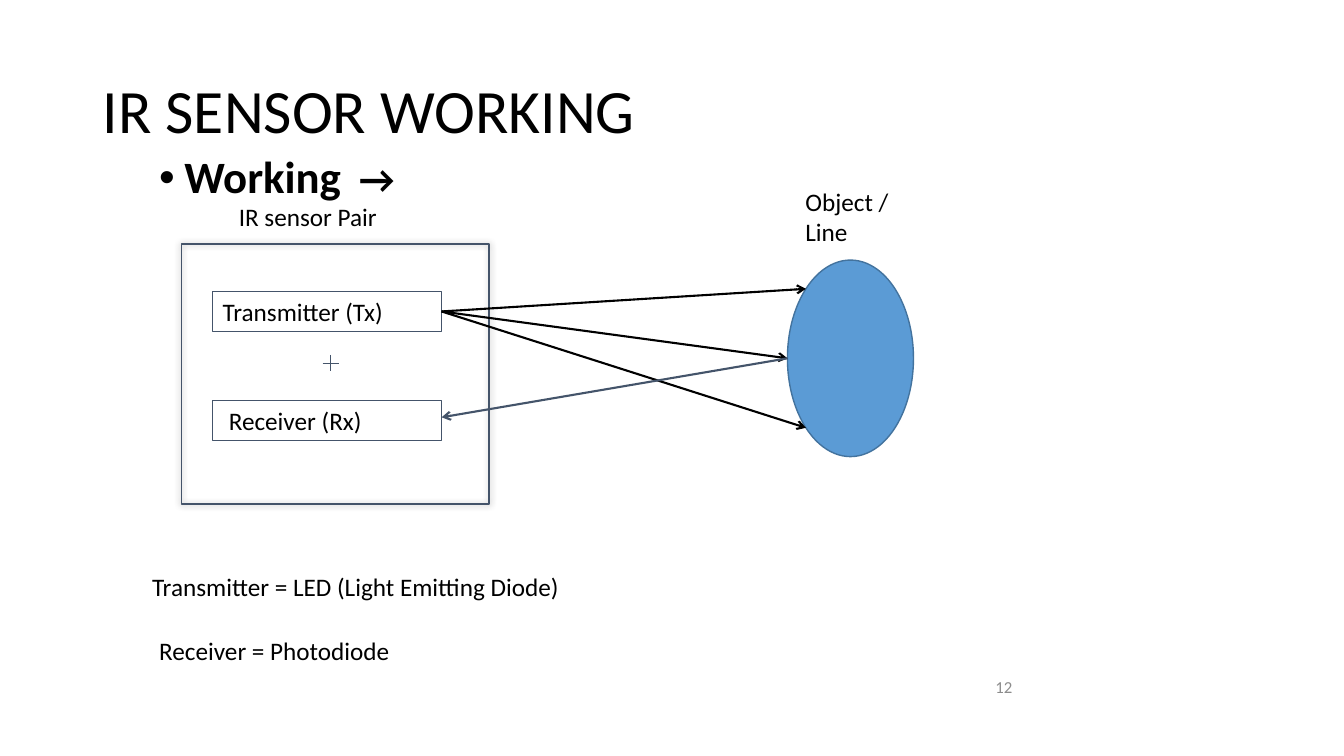
from math import sqrt

from lxml import etree
from pptx import Presentation
from pptx.dml.color import RGBColor
from pptx.enum.shapes import MSO_CONNECTOR, MSO_SHAPE
from pptx.enum.text import MSO_ANCHOR, PP_ALIGN
from pptx.oxml.ns import qn
from pptx.util import Inches, Pt

RECTANGLE, OVAL = MSO_SHAPE.RECTANGLE, MSO_SHAPE.OVAL
STRAIGHT = MSO_CONNECTOR.STRAIGHT
LEFT, RIGHT = PP_ALIGN.LEFT, PP_ALIGN.RIGHT
TOP, MIDDLE = MSO_ANCHOR.TOP, MSO_ANCHOR.MIDDLE
RIGHT_SIDE = 3

FONT = "Calibri"
BLACK, SLATE, GREY = "000000", "44546A", "8C8C8C"
BLUE, DARK_BLUE = "5B9BD5", "43739E"

TITLE = "IR SENSOR WORKING"
TITLE_AREA = (0.92, 0.4, 11.5, 1.45)
HEADING = [("Working", 32, True), (" ", 28, False), ("→", 28, True)]
HEADING_AREA = (1.48, 1.49, 8.96, 5.76)
HEADING_GAP = 6.5  # points added after the space before the arrow

LABELS = [
    ("IR sensor Pair", (2.27, 1.95, 1.88, 0.4)),
    ("Object / Line", (7.89, 1.8, 1.17, 0.71)),
    ("Transmitter = LED (Light Emitting Diode)", (1.41, 5.62, 6.8, 0.71)),
    ("Receiver = Photodiode", (1.48, 6.25, 3.18, 0.4)),
]
PAGE_NUMBER = ("12", (9.39, 6.61, 0.75, 0.4))

TRANSMITTER = ("Transmitter (Tx)", (2.11, 2.89, 2.27, 0.4), 0.1)
RECEIVER = ("Receiver (Rx)", (2.11, 3.97, 2.27, 0.4), 0.16)
FRAME_AREA = (1.8, 2.42, 3.05, 2.58)
OBJECT_AREA = (7.81, 2.58, 1.25, 1.95)
PLUS_CENTRE, PLUS_SIZE = (3.28, 3.6), 0.16
RECEIVING_POINT = (4.38, 4.14)


def color(value):
    return RGBColor.from_string(value)


def inches(lengths):
    return [Inches(length) for length in lengths]


def format_text(frame, size, tint=BLACK, align=LEFT, anchor=TOP):
    frame.word_wrap = True
    frame.vertical_anchor = anchor
    for para in frame.paragraphs:
        para.alignment = align
        for span in para.runs:
            span.font.name = FONT
            span.font.size = Pt(size)
            span.font.color.rgb = color(tint)


def add_label(page, text, area, size=18, **style):
    box = page.shapes.add_textbox(*inches(area))
    box.text_frame.text = text
    format_text(box.text_frame, size, **style)


def add_outline(page, kind, area, line, width, fill=None):
    shape = page.shapes.add_shape(kind, *inches(area))
    shape.shadow.inherit = False
    if fill:
        shape.fill.solid()
        shape.fill.fore_color.rgb = color(fill)
    else:
        shape.fill.background()
    shape.line.color.rgb = color(line)
    shape.line.width = Pt(width)
    return shape


def add_part(page, text, area, margin):
    """Add a labelled sensor part."""
    part = add_outline(page, RECTANGLE, area, SLATE, 0.75)
    part.text_frame.text = text
    part.text_frame.margin_left = Inches(margin)
    format_text(part.text_frame, 18)
    return part


def add_line(page, start, end, tint, width, arrow=False):
    line = page.shapes.add_connector(STRAIGHT, *inches(start + end))
    line.line.color.rgb = color(tint)
    line.line.width = Pt(width)
    if arrow:
        etree.SubElement(line.line._get_or_add_ln(), qn("a:tailEnd"), type="arrow")
    etree.SubElement(line._element.spPr, qn("a:effectLst"))
    return line


def add_glow_shadow(shape):
    """Give the shape a soft black shadow that spreads evenly."""
    effects = shape._element.spPr.find(qn("a:effectLst"))
    shadow = etree.SubElement(effects, qn("a:outerShdw"), blurRad=str(Pt(5)), dist="0", dir="0")
    tint = etree.SubElement(shadow, qn("a:srgbClr"), val=BLACK)
    etree.SubElement(tint, qn("a:alpha"), val="40000")


def add_heading(page):
    box = page.shapes.add_textbox(*inches(HEADING_AREA))
    para = box.text_frame.paragraphs[0]
    properties = para._p.get_or_add_pPr()
    properties.set("marL", str(Inches(0.25)))
    properties.set("indent", str(Inches(-0.25)))
    etree.SubElement(properties, qn("a:buFont"), typeface="Arial")
    etree.SubElement(properties, qn("a:buChar"), char="•")
    para.line_spacing = 0.9
    for text, _, _ in HEADING:
        para.add_run().text = text
    format_text(box.text_frame, 32)
    for span, (_, size, bold) in zip(para.runs, HEADING):
        span.font.size = Pt(size)
        span.font.bold = bold
    para.runs[1].font._element.set("spc", str(int(HEADING_GAP * 100)))


def add_diagram(page):
    transmitter = add_part(page, *TRANSMITTER)
    add_part(page, *RECEIVER)
    add_glow_shadow(add_outline(page, RECTANGLE, FRAME_AREA, SLATE, 1))

    x, y = PLUS_CENTRE
    half = PLUS_SIZE / 2
    add_line(page, (x, y - half), (x, y + half), SLATE, 0.5)
    add_line(page, (x - half, y), (x + half, y), SLATE, 0.5)

    add_outline(page, OVAL, OBJECT_AREA, DARK_BLUE, 1, BLUE)
    left, top, width, height = OBJECT_AREA
    centre_x, centre_y = left + width / 2, top + height / 2
    diagonal_x = centre_x - width / 2 / sqrt(2)
    rise = height / 2 / sqrt(2)
    reflection_point = (left, centre_y)
    targets = [reflection_point, (diagonal_x, centre_y - rise), (diagonal_x, centre_y + rise)]

    part_left, part_top, part_width, part_height = TRANSMITTER[1]
    source = (part_left + part_width, part_top + part_height / 2)
    for target in targets:
        ray = add_line(page, source, target, BLACK, 1.5, arrow=True)
        ray.begin_connect(transmitter, RIGHT_SIDE)
    add_line(page, reflection_point, RECEIVING_POINT, SLATE, 1.5, arrow=True)


def main():
    deck = Presentation()
    deck.slide_width, deck.slide_height = inches((13.33, 7.5))
    page = deck.slides.add_slide(deck.slide_layouts[5])

    title = page.shapes.title
    title.left, title.top, title.width, title.height = inches(TITLE_AREA)
    title.text_frame.text = TITLE
    title.text_frame.paragraphs[0].line_spacing = 0.9
    format_text(title.text_frame, 44, anchor=MIDDLE)

    add_heading(page)
    add_diagram(page)
    for text, area in LABELS:
        add_label(page, text, area)
    add_label(page, *PAGE_NUMBER, size=12, tint=GREY, align=RIGHT, anchor=MIDDLE)
    deck.save("out.pptx")


if __name__ == "__main__":
    main()
